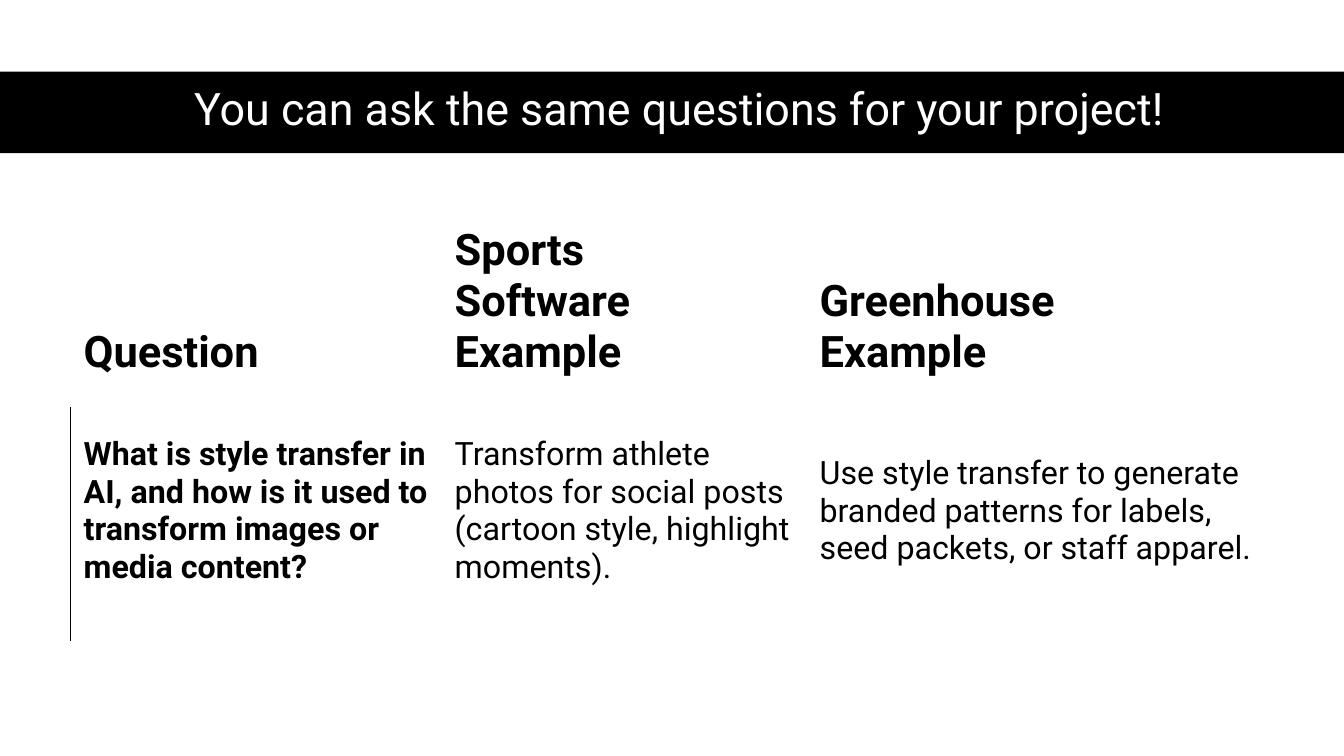
from dataclasses import dataclass

from lxml.etree import SubElement
from pptx import Presentation
from pptx.dml.color import RGBColor
from pptx.enum.shapes import MSO_SHAPE as Shape
from pptx.enum.text import MSO_ANCHOR as Anchor, PP_ALIGN as Align
from pptx.oxml.ns import qn
from pptx.util import Inches, Pt


@dataclass(frozen=True)
class Theme:
    font: str = "Roboto"
    ink: RGBColor = RGBColor(0, 0, 0)
    paper: RGBColor = RGBColor(255, 255, 255)
    title_size: int = 32
    header_size: int = 31
    body_size: int = 23
    rule_width: float = 0.75


theme = Theme()


def style_text(para, size, color, bold=False):
    for span in para.runs:
        span.font.name = theme.font
        span.font.size = Pt(size)
        span.font.bold = bold
        span.font.color.rgb = color


def add_left_rule(cell):
    properties = cell._tc.get_or_add_tcPr()
    line = SubElement(properties, qn("a:lnL"), w=str(Pt(theme.rule_width)))
    fill = SubElement(line, qn("a:solidFill"))
    SubElement(fill, qn("a:srgbClr"), val=str(theme.ink))
    properties.insert(0, line)


deck = Presentation()
deck.slide_width, deck.slide_height = Inches(13.33), Inches(7.5)
page = deck.slides.add_slide(deck.slide_layouts[6])

# Title band
band_height = Inches(0.81)
band = page.shapes.add_shape(
    Shape.RECTANGLE, 0, Inches(0.71), deck.slide_width, band_height)
band.shadow.inherit = False
band.fill.solid()
band.fill.fore_color.rgb = theme.ink
band.line.fill.background()

title = page.shapes.add_textbox(
    Inches(0.61), Inches(0.7), Inches(12.26), band_height)
frame = title.text_frame
frame.word_wrap = True
frame.vertical_anchor = Anchor.MIDDLE
frame.text = "You can ask the same questions for your project!"
para = frame.paragraphs[0]
para.alignment = Align.CENTER
para.line_spacing = 0.9
style_text(para, theme.title_size, theme.paper)

# Question and example table
column_widths = [3.68, 3.62, 4.63]
row_heights = [1.93, 2.31]
table_rows = [
    ["Question", "Sports Software Example", "Greenhouse Example"],
    ["What is style transfer in AI, and how is it used to transform images or media content?",
     "Transform athlete photos for social posts (cartoon style, highlight moments).",
     "Use style transfer to generate branded patterns for labels, seed packets, or staff apparel."],
]
table = page.shapes.add_table(
    len(row_heights), len(column_widths), Inches(0.7), Inches(2.11),
    Inches(sum(column_widths)), Inches(sum(row_heights))).table
table.horz_banding = False
table.first_row = False
for column, width in zip(table.columns, column_widths):
    column.width = Inches(width)
for row, height in zip(table.rows, row_heights):
    row.height = Inches(height)

for row_index, texts in enumerate(table_rows):
    is_header = row_index == 0
    for column_index, text in enumerate(texts):
        cell = table.cell(row_index, column_index)
        cell.fill.background()
        cell.margin_left, cell.margin_top = Inches(0.13), Inches(0.04)
        cell.margin_right = Inches(0.43 if is_header else 0.09)
        cell.margin_bottom = Inches(0.29)
        cell.vertical_anchor = Anchor.BOTTOM if is_header else Anchor.MIDDLE
        cell.text_frame.text = text
        style_text(cell.text_frame.paragraphs[0],
                   theme.header_size if is_header else theme.body_size,
                   theme.ink, bold=is_header or column_index == 0)

add_left_rule(table.cell(1, 0))

deck.save("out.pptx")
